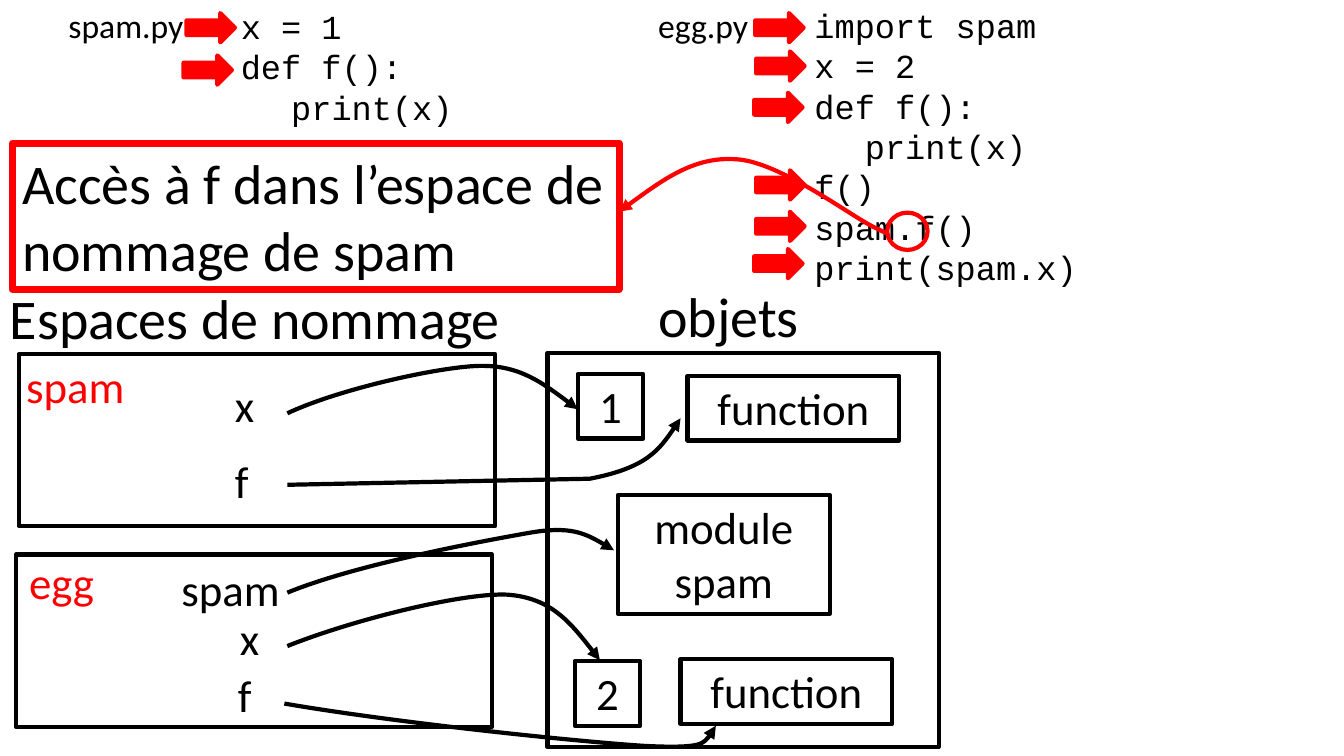
from lxml.etree import SubElement
from pptx import Presentation
from pptx.dml.color import RGBColor
from pptx.enum.shapes import MSO_SHAPE as Preset
from pptx.enum.text import MSO_ANCHOR as Anchor, PP_ALIGN as Align
from pptx.oxml.ns import qn
from pptx.util import Inches, Pt

BLACK = RGBColor(0, 0, 0)
RED = RGBColor(255, 0, 0)
WHITE = RGBColor(255, 255, 255)

COLUMNS, ROWS = 133.3, 75
BODY, CODE = "Calibri", "Courier New"
SMALL, MEDIUM, LARGE = 24, 32, 40


class Diagram:
    def __init__(self, presentation):
        self.column = presentation.slide_width / COLUMNS
        self.row = presentation.slide_height / ROWS
        self.slide = presentation.slides.add_slide(presentation.slide_layouts[6])
        self.shapes = self.slide.shapes

    def place(self, left, top, width, height):
        return (round(left * self.column), round(top * self.row),
                round(width * self.column), round(height * self.row))

    def add_lines(self, shape, lines, size, color=BLACK, font=BODY, align=Align.LEFT):
        frame = shape.text_frame
        frame.word_wrap = True
        frame.vertical_anchor = Anchor.TOP
        for index, line in enumerate(lines):
            paragraph = frame.add_paragraph() if index else frame.paragraphs[0]
            paragraph.alignment = align
            run = paragraph.add_run()
            run.text = line
            run.font.name = font
            run.font.size = Pt(size)
            run.font.color.rgb = color

    def text(self, left, top, width, height, *lines, **style):
        shape = self.shapes.add_textbox(*self.place(left, top, width, height))
        self.add_lines(shape, lines, **style)

    def outline(self, shape, color, weight=3):
        shape.shadow.inherit = False
        shape.fill.background()
        shape.line.color.rgb = color
        shape.line.width = Pt(weight)

    def shape(self, preset, place, color=BLACK, weight=3):
        shape = self.shapes.add_shape(preset, *self.place(*place))
        self.outline(shape, color, weight)
        return shape

    def object_box(self, left, top, width, height, label):
        box = self.shape(Preset.RECTANGLE, (left, top, width, height))
        self.add_lines(box, [label], MEDIUM, align=Align.CENTER)

    def step(self, left, top):
        arrow = self.shape(Preset.RIGHT_ARROW, (left, top, 4.8, 2.9), RED)
        arrow.fill.solid()
        arrow.fill.fore_color.rgb = RED

    def callout(self, place, message):
        box = self.shape(Preset.RECTANGLE, place, RED, 5)
        box.fill.solid()
        box.fill.fore_color.rgb = WHITE
        color = next(box.element.spPr.find(qn("a:solidFill")).iter(qn("a:srgbClr")))
        SubElement(color, qn("a:alpha"), val="80000")
        self.add_lines(box, [message], LARGE)

    def curve(self, *points, color=BLACK):
        start, *others = [(x * self.column, y * self.row) for x, y in points]
        builder = self.shapes.build_freeform(*start)
        builder.add_line_segments(others, close=False)
        shape = builder.convert_to_shape()
        self.outline(shape, color)
        outline = next(shape.element.iter(qn("a:path")))
        segments = outline.findall(qn("a:lnTo"))
        for first in range(0, len(segments), 3):
            bezier = SubElement(outline, qn("a:cubicBezTo"))
            for segment in segments[first:first + 3]:
                bezier.append(segment[0])
                outline.remove(segment)
        line = shape.element.spPr.find(qn("a:ln"))
        SubElement(line, qn("a:tailEnd"), type="triangle")


presentation = Presentation()
presentation.slide_width = Inches(13.33)
presentation.slide_height = Inches(7.5)
diagram = Diagram(presentation)

diagram.text(22.9, 0.1, 30.4, 13.1, "x = 1", "def f():", "\tprint(x)",
             size=SMALL, font=CODE)
diagram.text(79.8, 0, 30.4, 29.3, "import spam", "x = 2", "def f():", "\tprint(x)",
             "f()", "spam.f()", "print(spam.x)", size=SMALL, font=CODE)
for left, file_name in ((5.8, "spam.py"), (64.3, "egg.py")):
    diagram.text(left, 0, 14.1, 5, file_name, size=SMALL)

diagram.text(64.3, 27.4, 37.8, 7.7, "objets", size=LARGE)
diagram.text(0, 27.6, 51.4, 7.7, "Espaces de nommage", size=LARGE)
for frame in ((54.3, 35, 38.8, 39.1), (1.9, 35.1, 47.2, 17.1), (1.6, 55, 47.2, 17.1)):
    diagram.shape(Preset.RECTANGLE, frame)
for left, top, namespace in ((1.6, 35.1, "spam"), (1.9, 54.5, "egg")):
    diagram.text(left, top, 21.1, 6.4, namespace, size=MEDIUM, color=RED)

for left, top, name in ((22.3, 37, "x"), (22.3, 44.5, "f"), (17, 55.2, "spam"),
                        (22.8, 60.1, "x"), (22.6, 65.8, "f")):
    diagram.text(left, top, 11.9, 6.4, name, size=MEDIUM)

for left, top, width, height, label in (
        (57.3, 37.1, 6.5, 6.4, "1"), (57, 65.6, 6.5, 6.4, "2"),
        (68.2, 37.3, 21, 6.4, "function"), (67.5, 65.4, 21, 6.4, "function"),
        (61.3, 49.1, 21, 11.8, "module spam")):
    diagram.object_box(left, top, width, height, label)

for reference in (
        ((28.5, 58.8), (35.3, 56), (47.8, 53.7), (52.3, 52.9),
         (56.7, 52.1), (58.8, 53.3), (60.9, 54.6)),
        ((28.5, 64.1), (35, 61.5), (45.8, 58.8), (50.3, 59),
         (54.7, 59.3), (57.1, 62.4), (59.5, 65.5)),
        ((28.2, 69.8), (39.9, 71.8), (57.7, 73.6), (63.9, 74),
         (70, 74.3), (70.5, 73.1), (71, 72)),
        ((28.5, 41), (33.6, 38.6), (43.5, 36.4), (47.5, 36.3),
         (51.5, 36.2), (54.4, 38.4), (57.3, 40.6)),
        ((28.5, 48.1), (38.5, 47.9), (48.5, 47.7), (58.5, 47.5),
         (64.2, 46.4), (65.9, 44), (67.5, 41.5))):
    diagram.curve(*reference)

for left, top in ((18.5, 1.3), (18.2, 5.5), (74.9, 1.3), (75, 5.1), (74.8, 9.2),
                  (75, 16.9), (75, 21), (74.8, 24.7)):
    diagram.step(left, top)

diagram.shape(Preset.OVAL, (88, 21.1, 4, 3.7), RED)
diagram.callout((1.2, 14.2, 60.2, 14.5), "Accès à f dans l’espace de nommage de spam")
diagram.curve((87, 22.7), (87.8, 23.1), (88.9, 23.6), (86.6, 22.5), (84.2, 21.3),
              (77.2, 16), (73, 15.8), (68.8, 15.5), (65.1, 18.3), (61.4, 21), color=RED)

presentation.save("out.pptx")
